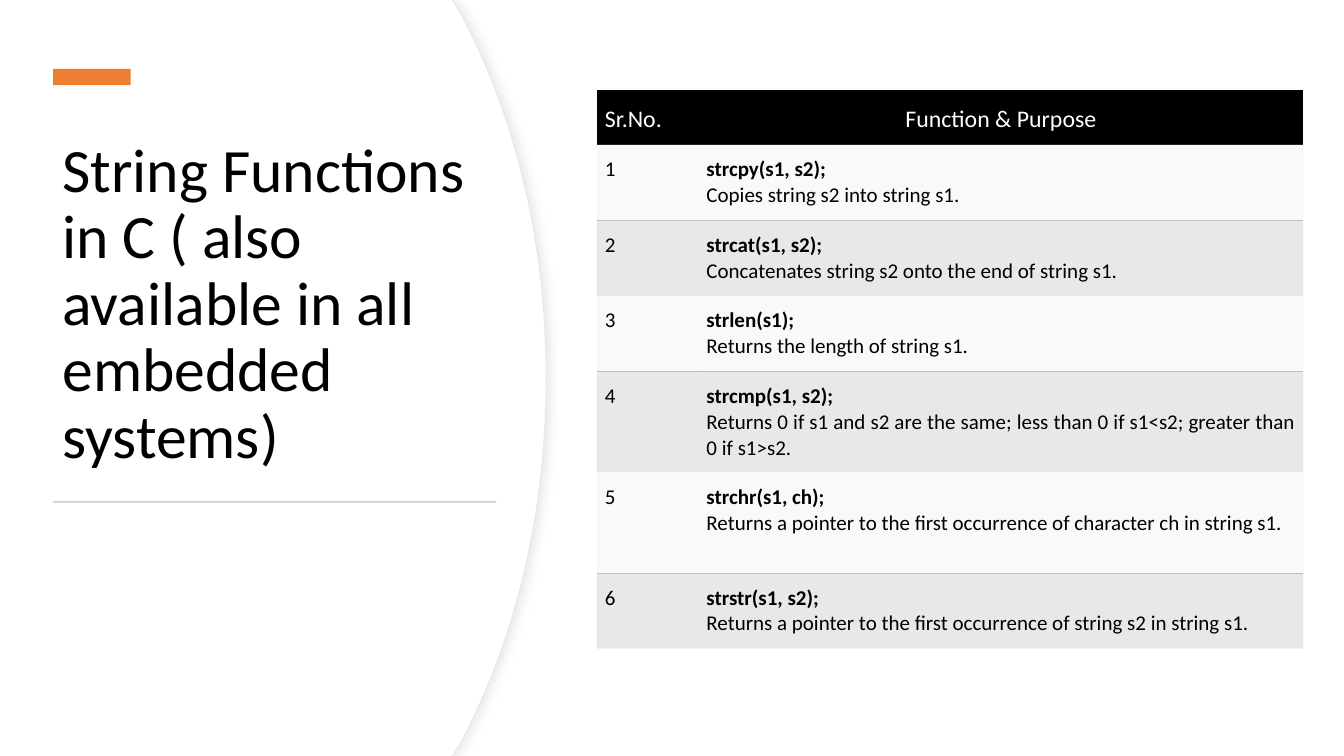
from lxml import etree
from pptx import Presentation
from pptx.dml.color import RGBColor
from pptx.enum.shapes import MSO_SHAPE
from pptx.enum.text import MSO_ANCHOR, MSO_AUTO_SIZE, PP_ALIGN
from pptx.oxml import parse_xml
from pptx.oxml.ns import nsdecls, qn
from pptx.util import Pt

RECT = MSO_SHAPE.RECTANGLE
TOP, MIDDLE, BOTTOM = MSO_ANCHOR.TOP, MSO_ANCHOR.MIDDLE, MSO_ANCHOR.BOTTOM
LEFT, CENTER, JUSTIFY = PP_ALIGN.LEFT, PP_ALIGN.CENTER, PP_ALIGN.JUSTIFY
FONT = "Calibri"
NO_STYLE = "{2D5ABB26-0587-4C30-8999-92F81FD0307C}"
INK = {
    "white": "FFFFFF", "black": "000000", "accent": "ED7D31", "rule": "D5D5D5",
    "rim": "E6E6E6", "shade": "D9D9D9", "light": "F2F2F2", "grey": "BFBFBF",
}


def write(par, text, size, ink, bold=False):
    run = par.add_run()
    run.text = text
    run.font.name, run.font.size, run.font.bold = FONT, Pt(size), bold
    run.font.color.rgb = RGBColor.from_string(INK[ink])


def fill_cell(cell, lines, size, ink, align, anchor, fill, alpha=100, edge=None):
    """Write the lines (first one bold if there are two), then fill and border the cell."""
    cell.margin_left = cell.margin_right = cell.margin_bottom = Pt(5.76)
    cell.margin_top = Pt(8.64)
    cell.vertical_anchor = anchor
    frame = cell.text_frame
    for n, line in enumerate(lines):
        par = frame.add_paragraph() if n else frame.paragraphs[0]
        par.alignment = align
        write(par, line, size, ink, bold=len(lines) > 1 and n == 0)
    cell.fill.solid()
    cell.fill.fore_color.rgb = RGBColor.from_string(INK[fill])
    props = cell._tc.tcPr
    if alpha < 100:
        color = props.find(".//" + qn("a:srgbClr"))
        etree.SubElement(color, qn("a:alpha"), val=str(alpha * 1000))
    for n, side in enumerate(("lnL", "lnR", "lnT", "lnB")):
        paint = "<a:noFill/>"
        if side == edge:
            paint = f'<a:solidFill><a:srgbClr val="{INK["grey"]}"/></a:solidFill>'
        props.insert(n, parse_xml(
            f'<a:{side} {nsdecls("a")} w="12700">{paint}</a:{side}>'))


deck = Presentation()
deck.slide_width, deck.slide_height = Pt(960), Pt(540)
slide = deck.slides.add_slide(deck.slide_layouts[5])
shapes = slide.shapes

# Curved panel: a rimmed, shadowed layer under a plain one
STEPS = 24
for shift, rimmed in ((0, True), (-0.72, False)):
    start, pull, tip = 329, 368, 390.2
    arc = []
    for n in range(STEPS + 1):
        t = n / STEPS
        u = 1 - t
        x = u**3 * start + 3 * u * u * t * pull + 3 * u * t * t * tip + t**3 * tip
        y = u**3 * 9.4 + 3 * u * u * t * 82 + 3 * u * t * t * 172 + t**3 * 270
        arc.append((x + shift, y))
    half = [(323.3 + shift, 0)] + arc
    lower = [(x, 540 - y) for x, y in reversed(half[:-1])]
    pen = shapes.build_freeform(0, 0, scale=Pt(1) / 100)
    pen.add_line_segments(
        [(round(x * 100), round(y * 100)) for x, y in half + lower + [(0, 540)]])
    panel = pen.convert_to_shape()
    panel.shadow.inherit = False
    panel.fill.solid()
    panel.fill.fore_color.rgb = RGBColor.from_string(INK["white"])
    if rimmed:
        panel.line.color.rgb = RGBColor.from_string(INK["rim"])
        panel.line.width = Pt(0.75)
        effects = panel._element.spPr.find(qn("a:effectLst"))
        effects.append(parse_xml(
            f'<a:outerShdw {nsdecls("a")} blurRad="{Pt(6)}" dist="{Pt(3)}" dir="0" '
            f'algn="l" rotWithShape="0"><a:srgbClr val="{INK["shade"]}">'
            '<a:alpha val="50000"/></a:srgbClr></a:outerShdw>'))
    else:
        panel.line.fill.background()

# Title, brought in front of the panel
title = shapes.title
title.left, title.top, title.width, title.height = Pt(37.4), Pt(88.6), Pt(316.8), Pt(252)
shapes._spTree.append(title._element)
frame = title.text_frame
frame.word_wrap, frame.auto_size = True, MSO_AUTO_SIZE.NONE
frame.vertical_anchor = BOTTOM
par = frame.paragraphs[0]
par.alignment, par.line_spacing = LEFT, 0.9
write(par, "String Functions in C ( also available in all embedded systems)", 44, "black")

# Accent bar and rule
for left, top, width, height, ink in (
    (37.9, 49.3, 55.4, 11.5, "accent"),
    (37.9, 357.8, 316.8, 1.4, "rule"),
):
    bar = shapes.add_shape(RECT, Pt(left), Pt(top), Pt(width), Pt(height))
    bar.shadow.inherit = False
    bar.fill.solid()
    bar.fill.fore_color.rgb = RGBColor.from_string(INK[ink])
    bar.line.fill.background()

# Function table
FUNCS = [
    ("strcpy(s1, s2);", "Copies string s2 into string s1.", 54),
    ("strcat(s1, s2);", "Concatenates string s2 onto the end of string s1.", 54),
    ("strlen(s1);", "Returns the length of string s1.", 54),
    ("strcmp(s1, s2);", "Returns 0 if s1 and s2 are the same; less than 0 if s1<s2; "
     "greater than 0 if s1>s2.", 72),
    ("strchr(s1, ch);", "Returns a pointer to the first occurrence of character ch "
     "in string s1.", 72),
    ("strstr(s1, s2);", "Returns a pointer to the first occurrence of string s2 "
     "in string s1.", 54),
]
table = shapes.add_table(
    len(FUNCS) + 1, 2, Pt(426.4), Pt(64.2), Pt(504.7), Pt(399.2)).table
table.first_row = table.horz_banding = False
table._tbl.tblPr.find(qn("a:tableStyleId")).text = NO_STYLE
table.columns[0].width, table.columns[1].width = Pt(72.5), Pt(432.2)
table.rows[0].height = Pt(39.2)
fill_cell(table.cell(0, 0), ["Sr.No."], 17, "white", LEFT, MIDDLE, "black")
fill_cell(table.cell(0, 1), ["Function & Purpose"], 17, "white", CENTER, MIDDLE, "black")
for row, (name, use, height) in enumerate(FUNCS, 1):
    table.rows[row].height = Pt(height)
    look = ("light", 45, "lnB") if row % 2 else ("grey", 35, "lnT")
    fill_cell(table.cell(row, 0), [str(row)], 15, "black", LEFT, TOP, *look)
    fill_cell(table.cell(row, 1), [name, use], 15, "black", JUSTIFY, TOP, *look)

deck.save("out.pptx")
